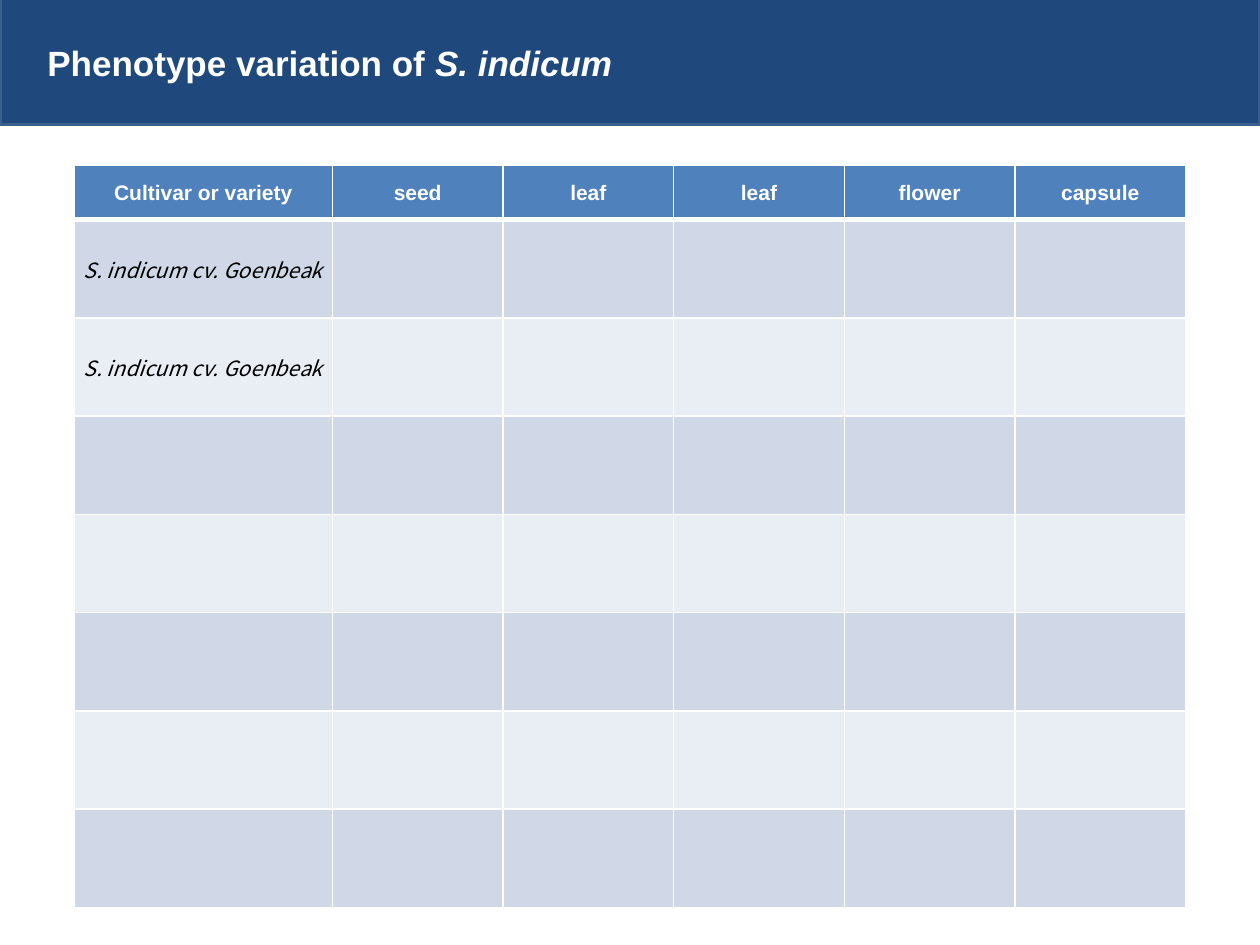
from dataclasses import dataclass

from lxml import etree
from pptx import Presentation
from pptx.dml.color import RGBColor
from pptx.enum.shapes import MSO_SHAPE
from pptx.enum.text import MSO_ANCHOR, MSO_AUTO_SIZE, PP_ALIGN
from pptx.oxml.ns import qn
from pptx.util import Cm, Pt

RECTANGLE = MSO_SHAPE.RECTANGLE
MIDDLE = MSO_ANCHOR.MIDDLE
NO_AUTOFIT = MSO_AUTO_SIZE.NONE
LEFT, CENTER = PP_ALIGN.LEFT, PP_ALIGN.CENTER
TITLE_ONLY = 5


@dataclass(frozen=True)
class Theme:
    banner: str = "1F497D"
    banner_line: str = "3A5F8C"
    header: str = "4F81BD"
    bands: tuple[str, str] = ("D0D8E8", "E9EDF4")
    white: str = "FFFFFF"
    black: str = "000000"
    heading_font: str = "Arial"
    cultivar_font: str = "Noto Sans CJK KR"
    title_size: int = 20
    table_size: int = 12
    grid_width: int = 1
    header_rule_width: int = 3


@dataclass(frozen=True)
class CellStyle:
    fill: str
    font: dict
    bottom_width: int


THEME = Theme()
COLUMNS = ["Cultivar or variety", "seed", "leaf", "leaf", "flower", "capsule"]
CULTIVARS = ["S. indicum cv. Goenbeak"] * 2 + [""] * 5
COLUMN_WIDTHS = [Cm(5.2)] + [Cm(3.44)] * 5
ROW_HEIGHTS = [Cm(1.1)] + [Cm(1.98)] * len(CULTIVARS)


def apply(target, values: dict) -> None:
    for name, value in values.items():
        setattr(target, name, value)


def format_font(font, color: str, **values) -> None:
    apply(font, values)
    font.color.rgb = RGBColor.from_string(color)


def add_banner(slide) -> None:
    """Draw the banner behind the title."""
    banner = slide.shapes.add_shape(RECTANGLE, 0, Cm(-0.08), Cm(25.4), Cm(2.59))
    banner.shadow.inherit = False
    banner.fill.solid()
    banner.fill.fore_color.rgb = RGBColor.from_string(THEME.banner)
    banner.line.color.rgb = RGBColor.from_string(THEME.banner_line)
    banner.line.width = Pt(2)
    slide.shapes._spTree.insert(2, banner._element)


def add_title(slide) -> None:
    title = slide.shapes.title
    apply(title, dict(left=Cm(0.7), top=Cm(0.38), width=Cm(20.6), height=Cm(1.75)))
    apply(title.text_frame, dict(vertical_anchor=MIDDLE, word_wrap=True,
                                 auto_size=NO_AUTOFIT))
    paragraph = title.text_frame.paragraphs[0]
    paragraph.alignment = LEFT
    for text, italic in (("Phenotype variation of ", False), ("S. indicum", True)):
        run = paragraph.add_run()
        run.text = text
        format_font(run.font, THEME.white, name=THEME.heading_font,
                    size=Pt(THEME.title_size), bold=True, italic=italic)


def set_borders(cell, bottom_width: int) -> None:
    """Give the cell white borders, placed ahead of its fill as the schema asks."""
    properties = cell._tc.get_or_add_tcPr()
    widths = dict.fromkeys(("lnL", "lnR", "lnT"), THEME.grid_width)
    widths["lnB"] = bottom_width
    for index, (side, width) in enumerate(widths.items()):
        border = etree.Element(qn(f"a:{side}"), w=str(Pt(width)))
        fill = etree.SubElement(border, qn("a:solidFill"))
        etree.SubElement(fill, qn("a:srgbClr"), val=THEME.white)
        properties.insert(index, border)


def fill_cell(cell, text: str, style: CellStyle) -> None:
    cell.fill.solid()
    cell.fill.fore_color.rgb = RGBColor.from_string(style.fill)
    set_borders(cell, style.bottom_width)
    if text:
        margin = Cm(0.03)
        apply(cell, dict(vertical_anchor=MIDDLE, margin_left=margin,
                         margin_right=margin, margin_top=margin, margin_bottom=0))
        paragraph = cell.text_frame.paragraphs[0]
        paragraph.alignment = CENTER
        run = paragraph.add_run()
        run.text = text
        format_font(run.font, size=Pt(THEME.table_size), **style.font)


def row_style(row: int) -> CellStyle:
    if row == 0:
        font = dict(color=THEME.white, name=THEME.heading_font, bold=True)
        return CellStyle(THEME.header, font, THEME.header_rule_width)
    font = dict(color=THEME.black, name=THEME.cultivar_font, bold=False, italic=True)
    return CellStyle(THEME.bands[(row - 1) % 2], font, THEME.grid_width)


def add_phenotype_table(slide) -> None:
    rows = [COLUMNS] + [[name] + [""] * (len(COLUMNS) - 1) for name in CULTIVARS]
    table = slide.shapes.add_table(len(rows), len(COLUMNS), Cm(1.5), Cm(3.33),
                                   sum(COLUMN_WIDTHS), sum(ROW_HEIGHTS)).table
    for column, width in zip(table.columns, COLUMN_WIDTHS):
        column.width = width
    for index, texts in enumerate(rows):
        table.rows[index].height = ROW_HEIGHTS[index]
        style = row_style(index)
        for cell, text in zip(table.rows[index].cells, texts):
            fill_cell(cell, text, style)
    for cell in table.rows[1].cells:
        top = cell._tc.tcPr.find(qn("a:lnT"))
        top.set("w", str(Pt(THEME.header_rule_width)))


def main() -> None:
    presentation = Presentation()
    apply(presentation, dict(slide_width=Cm(25.4), slide_height=Cm(19.05)))
    slide = presentation.slides.add_slide(presentation.slide_layouts[TITLE_ONLY])
    add_banner(slide)
    add_title(slide)
    add_phenotype_table(slide)
    presentation.save("out.pptx")


if __name__ == "__main__":
    main()
